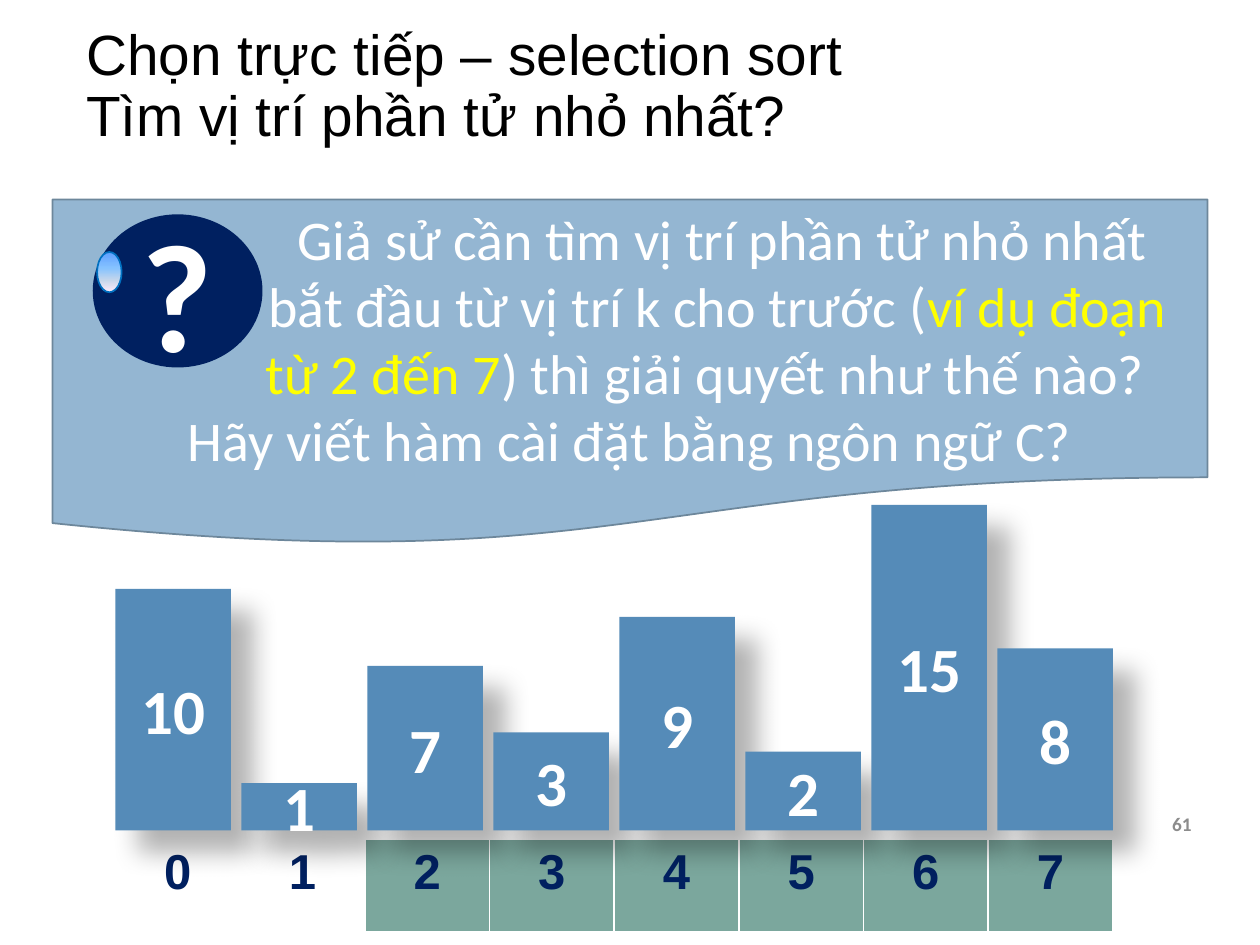
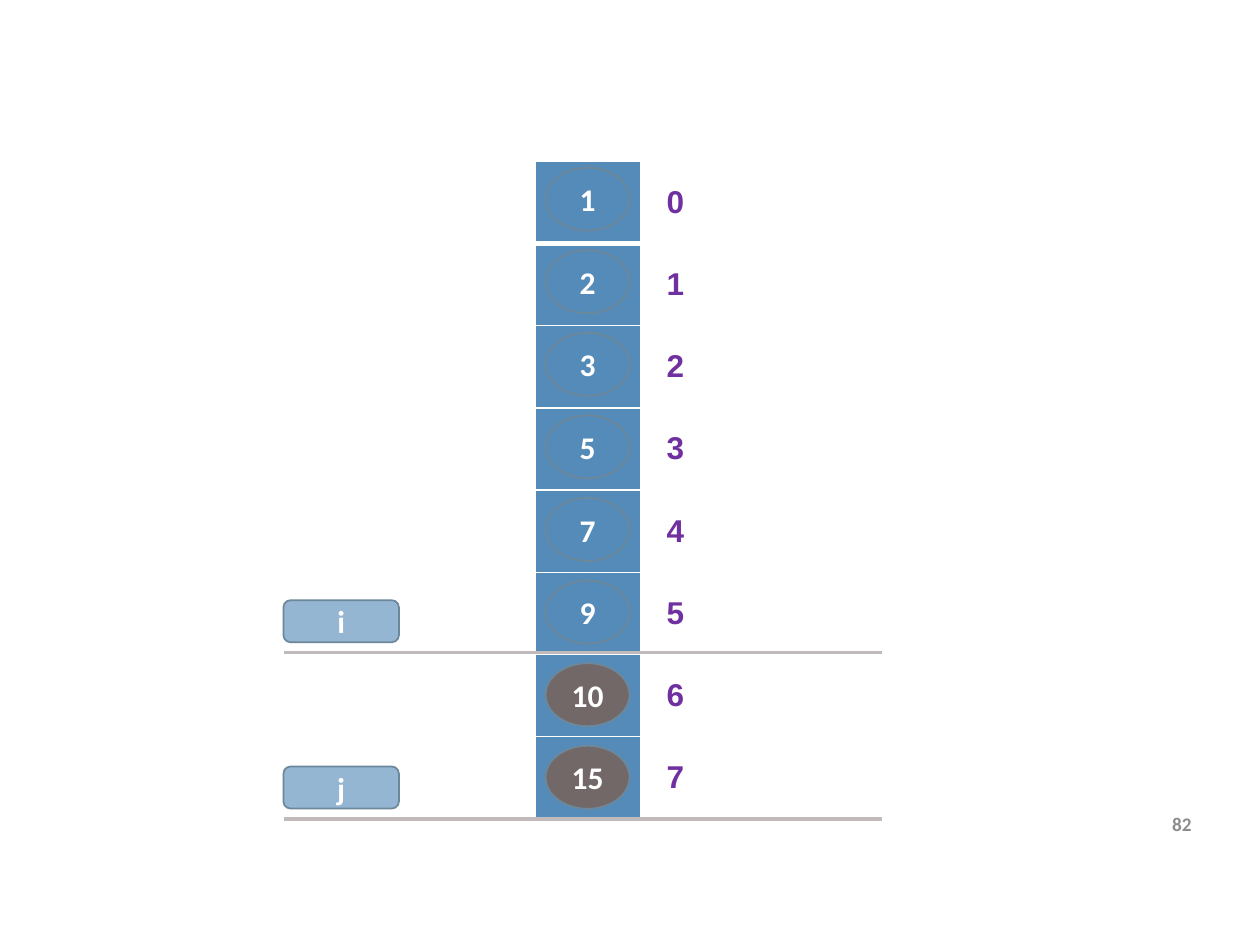
from lxml.etree import SubElement
from pptx import Presentation
from pptx.dml.color import RGBColor
from pptx.enum.shapes import MSO_CONNECTOR, MSO_SHAPE
from pptx.enum.text import MSO_ANCHOR, MSO_AUTO_SIZE, PP_ALIGN
from pptx.oxml.ns import qn
from pptx.util import Pt

WHITE = RGBColor(0xFF, 0xFF, 0xFF)
BLACK = RGBColor(0x00, 0x00, 0x00)
NAVY = RGBColor(0x00, 0x20, 0x60)
YELLOW = RGBColor(0xFF, 0xFF, 0x00)
PURPLE = RGBColor(0x70, 0x30, 0xA0)
GREY_TEXT = RGBColor(0x8C, 0x8C, 0x8C)
STEEL = RGBColor(0x55, 0x8B, 0xB8)
PALE_BLUE = RGBColor(0x94, 0xB6, 0xD2)
OUTLINE = RGBColor(0x6D, 0x87, 0x9B)
SAGE = RGBColor(0x7B, 0xA7, 0x9D)
TAUPE = RGBColor(0x72, 0x68, 0x68)
RULE = RGBColor(0xC0, 0xBA, 0xBA)
GLINT_LINE = RGBColor(0x00, 0x70, 0xC0)
GLINT_STOPS = [
    (0, RGBColor(0x5E, 0x9E, 0xFF)),
    (40, RGBColor(0x85, 0xC2, 0xFF)),
    (70, RGBColor(0xC4, 0xD6, 0xEB)),
    (100, RGBColor(0xFF, 0xEB, 0xFA)),
]

ARIAL = "Arial"
CALIBRI = "Calibri"

BARS = [(10, 138), (1, 27), (7, 94), (3, 56), (9, 122), (2, 45), (15, 186), (8, 104)]
SEARCH_START = 2
SORTED_VALUES = [1, 2, 3, 5, 7, 9, 10, 15]
SORTED_COUNT = 6
QUESTION = [
    (106, [("Giả sử cần tìm vị trí phần tử nhỏ nhất", WHITE)]),
    (100, [("bắt đầu từ vị trí k cho trước (", WHITE), ("ví dụ đoạn", YELLOW)]),
    (86, [("từ 2 đến 7", YELLOW), (") thì giải quyết như thế nào?", WHITE)]),
    (0, [("Hãy viết hàm cài đặt bằng ngôn ngữ C?", WHITE)]),
]


def add_run(paragraph, text, size, color, font=CALIBRI, bold=True):
    run = paragraph.add_run()
    run.text = text
    run.font.name = font
    run.font.size = Pt(size)
    run.font.bold = bold
    run.font.color.rgb = color


def add_preset(slide, preset, left, top, width, height, fill=None, outline=None):
    shape = slide.shapes.add_shape(preset, Pt(left), Pt(top), Pt(width), Pt(height))
    shape.shadow.inherit = False
    if fill is not None:
        shape.fill.solid()
        shape.fill.fore_color.rgb = fill
    if outline is None:
        shape.line.fill.background()
    else:
        shape.line.color.rgb = outline
        shape.line.width = Pt(1)
    shape.text_frame.word_wrap = True
    shape.text_frame.vertical_anchor = MSO_ANCHOR.MIDDLE
    return shape


def label(shape, text, size):
    paragraph = shape.text_frame.paragraphs[0]
    paragraph.alignment = PP_ALIGN.CENTER
    add_run(paragraph, text, size, WHITE)


def add_title(slide, lines):
    title = slide.shapes.title
    title.left, title.top, title.width, title.height = Pt(42), Pt(16), Pt(636), Pt(68)
    frame = title.text_frame
    frame.auto_size = MSO_AUTO_SIZE.NONE
    frame.word_wrap = True
    frame.vertical_anchor = MSO_ANCHOR.MIDDLE
    paragraph = frame.paragraphs[0]
    paragraph.alignment = PP_ALIGN.LEFT
    paragraph.line_spacing = 0.9
    for index, line in enumerate(lines):
        if index:
            paragraph.add_line_break()
        add_run(paragraph, line, 32.4, BLACK, ARIAL, False)


def add_page_number(slide, number):
    frame = slide.shapes.add_textbox(Pt(640), Pt(450), Pt(48), Pt(41)).text_frame
    frame.word_wrap = True
    frame.vertical_anchor = MSO_ANCHOR.MIDDLE
    paragraph = frame.paragraphs[0]
    paragraph.alignment = PP_ALIGN.RIGHT
    add_run(paragraph, str(number), 11, GREY_TEXT)


def add_grid(slide, left, top, column_widths, row_height, row_count):
    table = slide.shapes.add_table(
        row_count, len(column_widths), Pt(left), Pt(top),
        Pt(sum(column_widths)), Pt(row_height * row_count)).table
    table.first_row = False
    table.horz_banding = False
    for column, width in zip(table.columns, column_widths):
        column.width = Pt(width)
    for row in table.rows:
        row.height = Pt(row_height)
    return table


def format_cell(cell, fill, bottom_border):
    properties = cell._tc.get_or_add_tcPr()
    for side, width in (("L", 1), ("R", 1), ("T", 1), ("B", bottom_border)):
        border = SubElement(properties, qn(f"a:ln{side}"), w=str(Pt(width)))
        SubElement(SubElement(border, qn("a:solidFill")), qn("a:srgbClr"), val=str(WHITE))
    if fill is None:
        cell.fill.background()
    else:
        cell.fill.solid()
        cell.fill.fore_color.rgb = fill


def write_index(cell, index, size, color):
    paragraph = cell.text_frame.paragraphs[0]
    paragraph.alignment = PP_ALIGN.CENTER
    add_run(paragraph, str(index), size, color, ARIAL)


def cast_shadow(shape):
    effects = shape._element.spPr.find(qn("a:effectLst"))
    shadow = SubElement(effects, qn("a:outerShdw"), blurRad=str(Pt(15)),
                        dist=str(Pt(18)), dir="2700000", algn="tl", rotWithShape="0")
    color = SubElement(shadow, qn("a:srgbClr"), val=str(BLACK))
    SubElement(color, qn("a:alpha"), val="30000")


def add_question_badge(slide, left, top):
    disc = add_preset(slide, MSO_SHAPE.OVAL, left, top, 96, 86.5, NAVY, NAVY)
    label(disc, "?", 88)
    glint = add_preset(slide, MSO_SHAPE.OVAL, left + 2, top + 21, 14, 23, outline=GLINT_LINE)
    glint.fill.gradient()
    glint.fill.gradient_angle = 270
    stops = glint._element.spPr.find(qn("a:gradFill")).find(qn("a:gsLst"))
    for stop in list(stops):
        stops.remove(stop)
    for position, color in GLINT_STOPS:
        stop = SubElement(stops, qn("a:gs"), pos=str(position * 1000))
        SubElement(stop, qn("a:srgbClr"), val=str(color))


def add_question_panel(slide, left, top, width, height):
    panel = add_preset(slide, MSO_SHAPE.FLOWCHART_DOCUMENT, left, top, width, height,
                       PALE_BLUE, OUTLINE)
    frame = panel.text_frame
    for number, (indent, pieces) in enumerate(QUESTION):
        paragraph = frame.add_paragraph() if number else frame.paragraphs[0]
        paragraph.alignment = PP_ALIGN.CENTER
        paragraph._p.get_or_add_pPr().set("marL", str(Pt(indent)))
        for text, color in pieces:
            add_run(paragraph, text, 32, color, bold=False)
    add_question_badge(slide, left + 23.5, top + 9)


def add_index_row(slide, left, top):
    table = add_grid(slide, left, top, [71.25] * len(BARS), 54, 1)
    for index in range(len(BARS)):
        cell = table.cell(0, index)
        format_cell(cell, SAGE if index >= SEARCH_START else None, 3)
        write_index(cell, index, 28, NAVY)


def add_bars(slide, left, baseline):
    pitch, bar_width = 72, 66
    for index, (value, height) in enumerate(BARS):
        bar = add_preset(slide, MSO_SHAPE.RECTANGLE, left + index * pitch,
                         baseline - height, bar_width, height, STEEL)
        cast_shadow(bar)
        label(bar, str(value), 36)


def add_sorted_column(slide, left, top):
    table = add_grid(slide, left, top, [60, 40], 47, len(SORTED_VALUES))
    for index in range(len(SORTED_VALUES)):
        bottom_border = 1 if index else 3
        value_cell, index_cell = table.cell(index, 0), table.cell(index, 1)
        format_cell(value_cell, STEEL, bottom_border)
        format_cell(index_cell, None, bottom_border)
        index_cell.vertical_anchor = MSO_ANCHOR.MIDDLE
        write_index(index_cell, index, 18, PURPLE)
    for index, value in enumerate(SORTED_VALUES):
        fill = STEEL if index < SORTED_COUNT else TAUPE
        token = add_preset(slide, MSO_SHAPE.OVAL, left + 5.75, top + 3.8 + index * 47.2,
                           48, 36, fill, OUTLINE)
        label(token, str(value), 18)


def add_marker(slide, name, left, rule_top):
    rule = slide.shapes.add_connector(MSO_CONNECTOR.STRAIGHT, Pt(left), Pt(rule_top),
                                      Pt(left + 342), Pt(rule_top))
    rule.line.color.rgb = RULE
    rule.line.width = Pt(2)
    SubElement(rule._element.spPr, qn("a:effectLst"))
    tag = add_preset(slide, MSO_SHAPE.ROUNDED_RECTANGLE, left, rule_top - 30, 66, 24,
                     PALE_BLUE, OUTLINE)
    label(tag, name, 18)


def build_question_slide(deck):
    slide = deck.slides.add_slide(deck.slide_layouts[5])
    add_title(slide, ["Chọn trực tiếp – selection sort", "Tìm vị trí phần tử nhỏ nhất?"])
    add_page_number(slide, 61)
    add_question_panel(slide, 30, 114, 660, 198)
    add_index_row(slide, 66, 479.5)
    add_bars(slide, 66, 474.5)


def build_sorted_slide(deck):
    slide = deck.slides.add_slide(deck.slide_layouts[6])
    add_sorted_column(slide, 306, 92)
    add_page_number(slide, 82)
    for name, rule_top in (("i", 373), ("j", 468)):
        add_marker(slide, name, 162, rule_top)


def main():
    deck = Presentation()
    deck.slide_width, deck.slide_height = Pt(720), Pt(540)
    build_question_slide(deck)
    build_sorted_slide(deck)
    deck.save("out.pptx")


if __name__ == "__main__":
    main()
